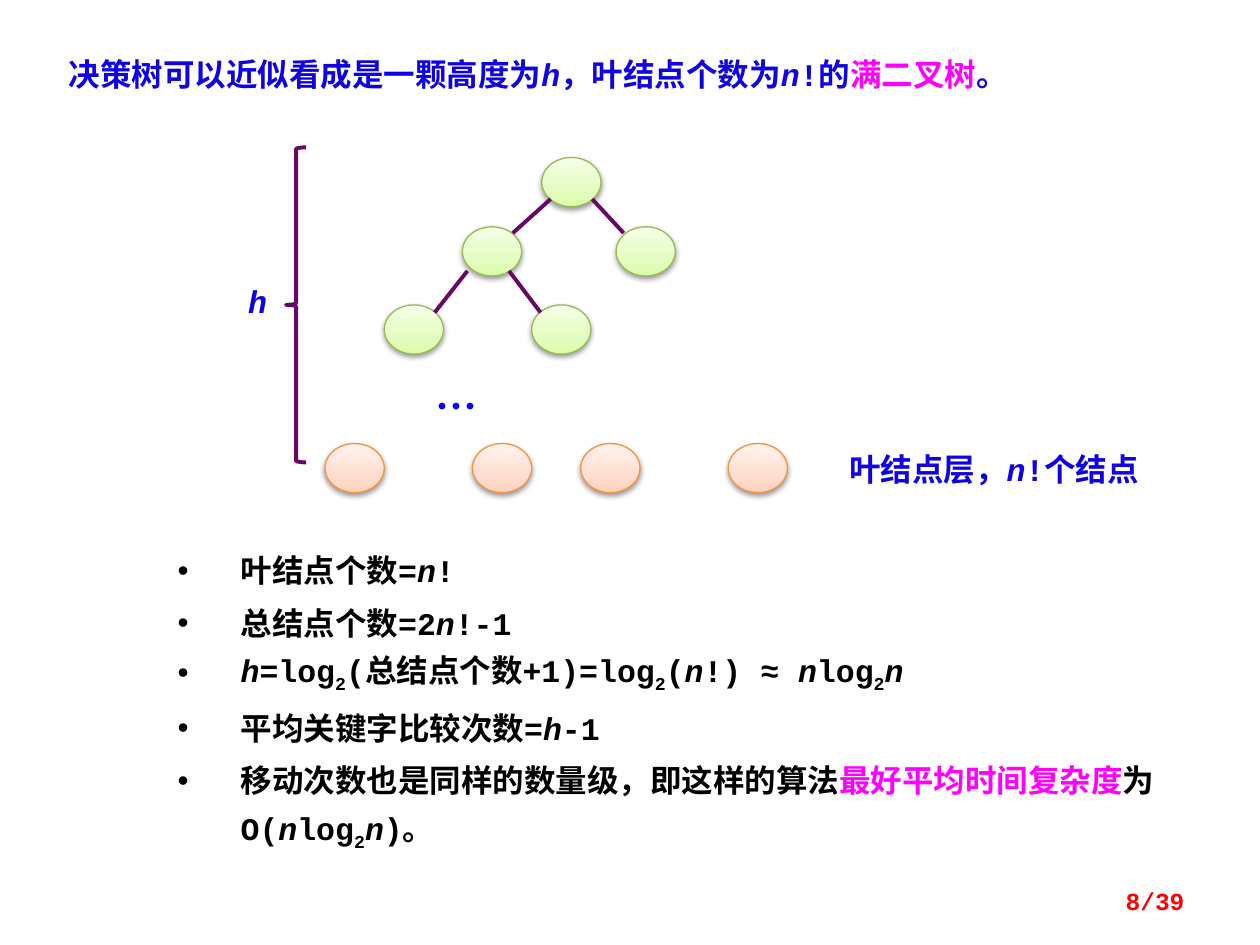
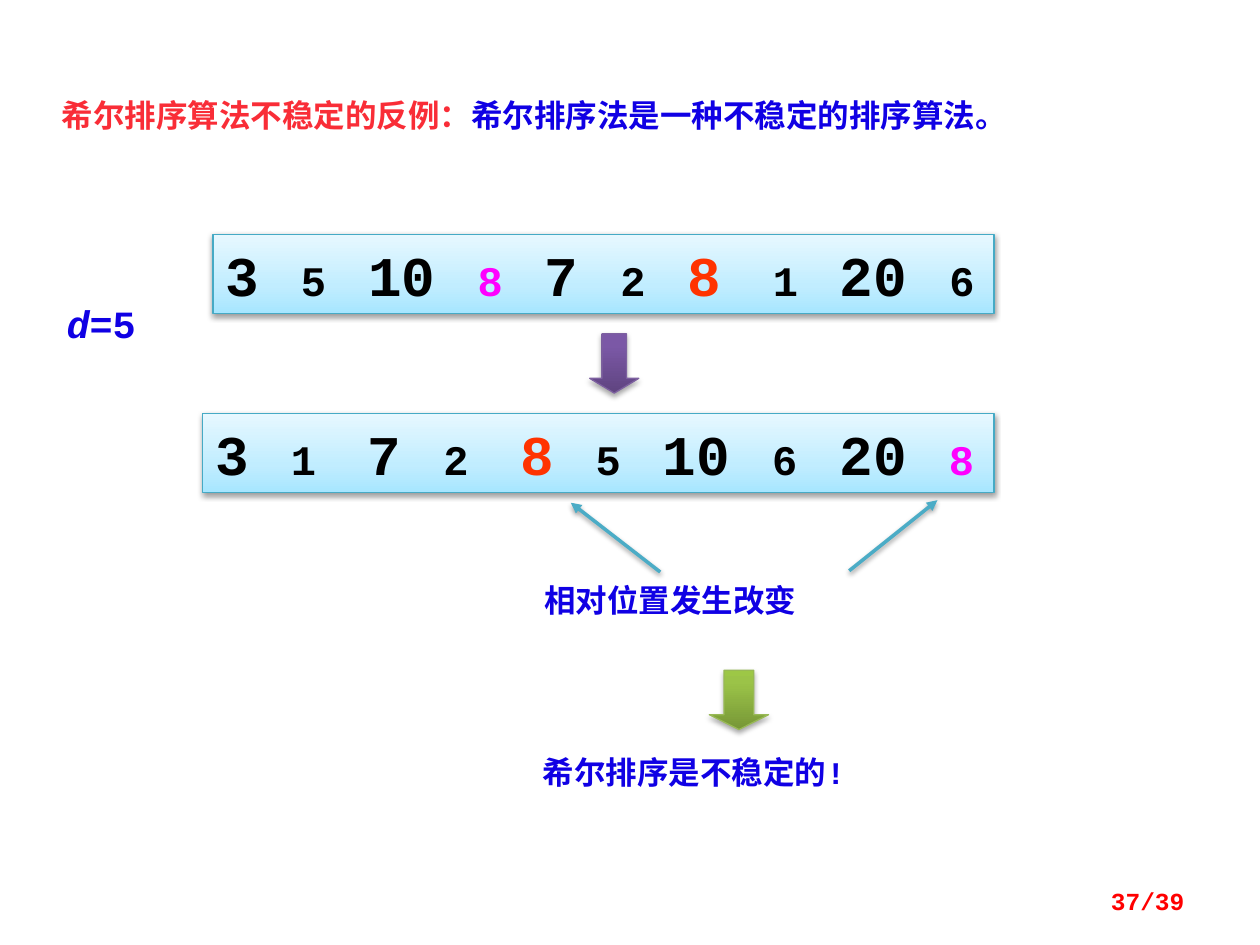
"""Build two slides on sorting: the decision tree and an unstable shell sort."""
from copy import deepcopy

from lxml.etree import SubElement
from pptx import Presentation
from pptx.dml.color import RGBColor
from pptx.enum.shapes import MSO_CONNECTOR, MSO_SHAPE
from pptx.enum.text import MSO_ANCHOR, MSO_AUTO_SIZE, PP_ALIGN
from pptx.oxml.ns import qn
from pptx.util import Inches, Pt

BLUE, MAGENTA, BLACK = "1000E4", "FF00FF", "000000"
RED, ORANGE, FOOTER_RED = "F92D37", "FF3300", "FF0000"
PURPLE, TEAL = "690764", "4BACC6"
LATIN_FONT, CHINESE_FONT = "Courier New", "Noto Sans CJK SC"
GREEN_NODE = [(0, "DAFDA7"), (0.35, "E4FCC2"), (1, "F5FFE7")], "98B955"
LEAF_NODE = [(0, "FFD2BD"), (0.35, "FFDED0"), (1, "FFF2ED")], "F69240"
NUMBER_BAND = [(0, "A7E6FF"), (0.35, "C1EDFF"), (1, "E7F8FF")], "46AAC5"
PURPLE_ARROW = [(0, "5F4480"), (0.8, "7B58A6"), (1, "7C57A8")], "7D60A0"
GREEN_ARROW = [(0, "779737"), (0.8, "9BC348"), (1, "9DC746")], "98B955"
NODE_SIZE = 0.47, 0.39


def rgb(value):
    """Turn a hex string into a colour."""
    return RGBColor.from_string(value)


def italic(text):
    """Return an italic span."""
    return text, {"italic": True}


def subscript(text):
    """Return a subscript span."""
    return text, {"baseline": -25000}


def colored(text, color):
    """Return a span in another colour."""
    return text, {"color": color}


def large(text, color=BLACK):
    """Return a span for a number of the group being sorted."""
    return text, {"size": 32, "color": color}


class SlideBuilder:
    """Holds the deck style and the current slide."""

    def __init__(self):
        """Start an empty deck."""
        self.deck = Presentation()
        self.deck.slide_width, self.deck.slide_height = Inches(10), Inches(7.5)
        self.slide = None

    def new_slide(self, layout, number):
        """Add a slide with its page number."""
        self.slide = self.deck.slides.add_slide(self.deck.slide_layouts[layout])
        frame = self.text((7.17, 6.95, 2.33, 0.4), [f"{number}/39"], size=14, color=FOOTER_RED)
        frame.vertical_anchor = MSO_ANCHOR.MIDDLE
        frame.paragraphs[0].alignment = PP_ALIGN.RIGHT

    def place(self, shape, area):
        """Move and size a shape."""
        shape.left, shape.top, shape.width, shape.height = map(Inches, area)

    def fill_paragraph(self, paragraph, spans, size=18, color=BLUE, font=LATIN_FONT):
        """Fill a paragraph with formatted spans."""
        paragraph.alignment = PP_ALIGN.LEFT
        for item in spans:
            text, options = (item, {}) if isinstance(item, str) else item
            span = paragraph.add_run()
            span.text = text
            span.font.name = font
            span.font.size = Pt(options.get("size", size))
            span.font.bold = True
            span.font.italic = options.get("italic", False)
            span.font.color.rgb = rgb(options.get("color", color))
            properties = span._r.get_or_add_rPr()
            SubElement(properties, qn("a:ea")).set("typeface", CHINESE_FONT)
            if "baseline" in options:
                properties.set("baseline", str(options["baseline"]))

    def title(self, area, spans, line_spacing=1.0):
        """Fill the title placeholder."""
        title = self.slide.shapes.title
        self.place(title, area)
        frame = title.text_frame
        frame.auto_size = MSO_AUTO_SIZE.NONE
        frame.vertical_anchor = MSO_ANCHOR.TOP
        frame.paragraphs[0].line_spacing = line_spacing
        self.fill_paragraph(frame.paragraphs[0], spans)

    def bullets(self, area, items):
        """Fill the body placeholder with a bulleted list."""
        body = self.slide.placeholders[1]
        self.place(body, area)
        body.fill.solid()
        body.fill.fore_color.rgb = rgb("FFFFFF")
        frame = body.text_frame
        frame.auto_size = MSO_AUTO_SIZE.NONE
        frame.margin_left = Inches(0.16)
        frame.margin_top = frame.margin_bottom = Inches(0.12)
        for index, spans in enumerate(items):
            paragraph = frame.add_paragraph() if index else frame.paragraphs[0]
            paragraph.line_spacing, paragraph.space_before = Pt(30), Pt(0)
            properties = paragraph._p.get_or_add_pPr()
            properties.set("marL", str(Inches(0.5)))
            properties.set("indent", str(Inches(-0.5)))
            self.fill_paragraph(paragraph, spans, color=BLACK)

    def text(self, area, spans, **style):
        """Add a text box and return its frame."""
        box = self.slide.shapes.add_textbox(*map(Inches, area))
        box.text_frame.word_wrap = True
        self.fill_paragraph(box.text_frame.paragraphs[0], spans, **style)
        return box.text_frame

    def shadow(self, shape, opacity, distance=1.6):
        """Give a shape a soft shadow below it, or none for zero opacity."""
        effects = SubElement(shape._element.spPr, qn("a:effectLst"))
        if opacity:
            outer = SubElement(effects, qn("a:outerShdw"), blurRad=str(Pt(3.1)),
                               dist=str(Pt(distance)), dir="5400000", rotWithShape="0")
            tint = SubElement(outer, qn("a:srgbClr"), val=BLACK)
            SubElement(tint, qn("a:alpha"), val=str(opacity * 1000))

    def gradient_shape(self, kind, area, look, opacity=38, distance=1.6):
        """Add a preset shape with a vertical gradient, outline and shadow."""
        stops, outline = look
        shape = self.slide.shapes.add_shape(kind, *map(Inches, area))
        shape.fill.gradient()
        shape.fill.gradient_angle = 90
        stop_list = shape._element.spPr.find(qn("a:gradFill")).find(qn("a:gsLst"))
        stop_list.append(deepcopy(stop_list[-1]))
        for stop, (position, color) in zip(shape.fill.gradient_stops, stops):
            stop.position = position
            stop.color.rgb = rgb(color)
        shape.line.color.rgb = rgb(outline)
        shape.line.width = Pt(0.75)
        self.shadow(shape, opacity, distance)
        return shape

    def node(self, left, top, look):
        """Add a tree node."""
        self.gradient_shape(MSO_SHAPE.OVAL, (left, top, *NODE_SIZE), look)

    def down_arrow(self, area, look, head):
        """Add a block arrow pointing down."""
        arrow = self.gradient_shape(MSO_SHAPE.DOWN_ARROW, area, look, 35, 1.8)
        arrow.adjustments[0], arrow.adjustments[1] = 0.5, head

    def number_band(self, area, spans):
        """Add a band with a row of numbers."""
        frame = self.gradient_shape(MSO_SHAPE.RECTANGLE, area, NUMBER_BAND).text_frame
        frame.word_wrap = False
        frame.vertical_anchor = MSO_ANCHOR.MIDDLE
        self.fill_paragraph(frame.paragraphs[0], spans, size=24, color=BLACK)

    def line(self, start, end, color, width, arrow=False):
        """Add a straight line, or a shadowed arrow."""
        line = self.slide.shapes.add_connector(
            MSO_CONNECTOR.STRAIGHT, *map(Inches, (*start, *end)))
        line.line.color.rgb = rgb(color)
        line.line.width = Pt(width)
        if arrow:
            SubElement(line._element.spPr.find(qn("a:ln")), qn("a:tailEnd"), type="triangle")
        self.shadow(line, 38 if arrow else 0)

    def brace(self, area):
        """Add a left brace."""
        brace = self.slide.shapes.add_shape(MSO_SHAPE.LEFT_BRACE, *map(Inches, area))
        brace.fill.background()
        brace.line.color.rgb = rgb(PURPLE)
        brace.line.width = Pt(2.25)
        brace.shadow.inherit = False


def decision_tree(builder):
    """Build the decision tree slide."""
    builder.new_slide(1, 8)
    builder.title((0.39, 0.39, 9.22, 0.4), [
        " 决策树可以近似看成是一颗高度为", italic("h"), "，叶结点个数为", italic("n"), "!的",
        colored("满二叉树", MAGENTA), "。"])
    for left, top in [(4.3, 1.25), (3.67, 1.8), (4.89, 1.8), (3.05, 2.42), (4.22, 2.42)]:
        builder.node(left, top, GREEN_NODE)
    for start, end in [((4.37, 1.58), (4.07, 1.85)), ((4.7, 1.58), (4.95, 1.85)),
                       ((3.71, 2.15), (3.45, 2.48)), ((4.04, 2.15), (4.29, 2.48))]:
        builder.line(start, end, PURPLE, 2.25)
    for left in (2.58, 3.75, 4.61, 5.78):
        builder.node(left, 3.52, LEAF_NODE)
    builder.text((3.36, 2.97, 1.17, 0.5), ["… "], size=24, font=CHINESE_FONT)
    builder.text((6.64, 3.52, 2.89, 0.4), ["叶结点层，", italic("n"), "!个结点"])
    builder.brace((2.27, 1.17, 0.16, 2.5))
    builder.text((1.87, 2.19, 0.39, 0.4), [italic("h")])
    n_log_n = [italic("n"), "log", subscript("2"), italic("n")]
    builder.bullets((1.25, 4.14, 8.2, 2.76), [
        ["叶结点个数=", italic("n"), "!"],
        ["总结点个数=2", italic("n"), "!-1"],
        [italic("h"), "=log", subscript("2"), "(总结点个数+1)=log", subscript("2"), "(",
         italic("n"), "!) ≈ ", *n_log_n],
        ["平均关键字比较次数=", italic("h"), "-1"],
        ["移动次数也是同样的数量级，即这样的算法", colored("最好平均时间复杂度", MAGENTA),
         "为O(", *n_log_n, ")。"]])


def unstable_shell_sort(builder):
    """Build the shell sort counterexample slide."""
    builder.new_slide(5, 37)
    builder.title((0.39, 0.62, 9.45, 0.46), [
        colored("希尔排序算法不稳定的反例：", RED), "希尔排序法是一种不稳定的排序算法。"], 1.3)
    builder.number_band((1.69, 1.86, 6.2, 0.63), [
        large("3"), "　5　", large("10"), "　", colored("8　", MAGENTA), large("7"), "　2　",
        large("8", ORANGE), "　 1　", large("20"), "　6"])
    builder.text((0.43, 2.33, 0.9, 0.47), [italic("d"), "=5"], size=22)
    builder.number_band((1.61, 3.28, 6.28, 0.63), [
        large("3"), "　1　 ", large("7"), "　2　 ", large("8", ORANGE), "　5　",
        large("10"), "　6　", large("20"), "　", colored("8", MAGENTA)])
    builder.down_arrow((4.68, 2.65, 0.39, 0.47), PURPLE_ARROW, 0.3)
    builder.line((5.24, 4.54), (4.53, 3.99), TEAL, 2, arrow=True)
    builder.line((6.74, 4.53), (7.44, 3.97), TEAL, 2, arrow=True)
    builder.text((4.22, 4.56, 3.7, 0.4), ["相对位置发生改变"], font=CHINESE_FONT)
    builder.down_arrow((5.63, 5.32, 0.47, 0.47), GREEN_ARROW, 0.25)
    builder.text((4.21, 5.93, 3.55, 0.4), ["希尔排序是不稳定的!"])


builder = SlideBuilder()
decision_tree(builder)
unstable_shell_sort(builder)
builder.deck.save("out.pptx")
